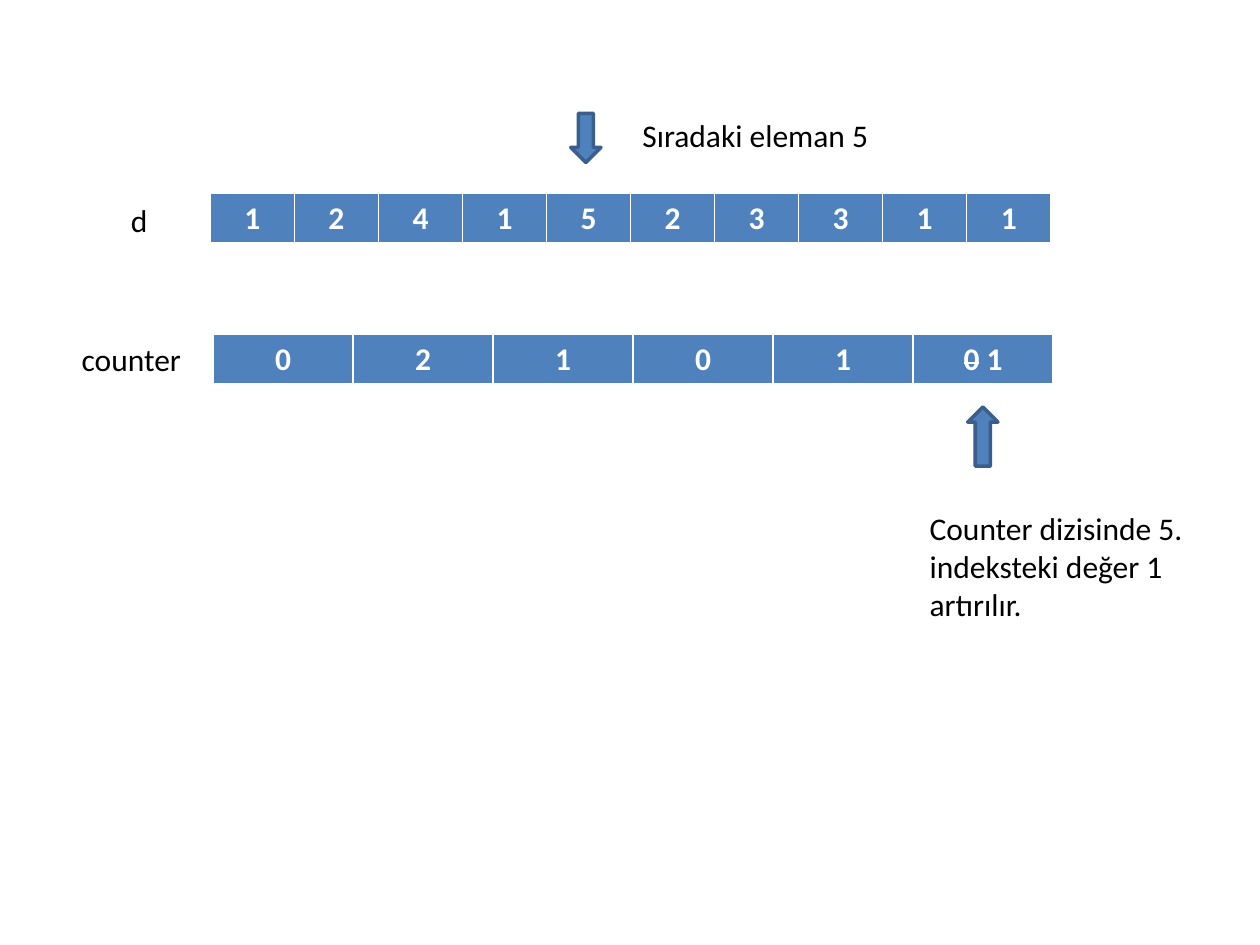
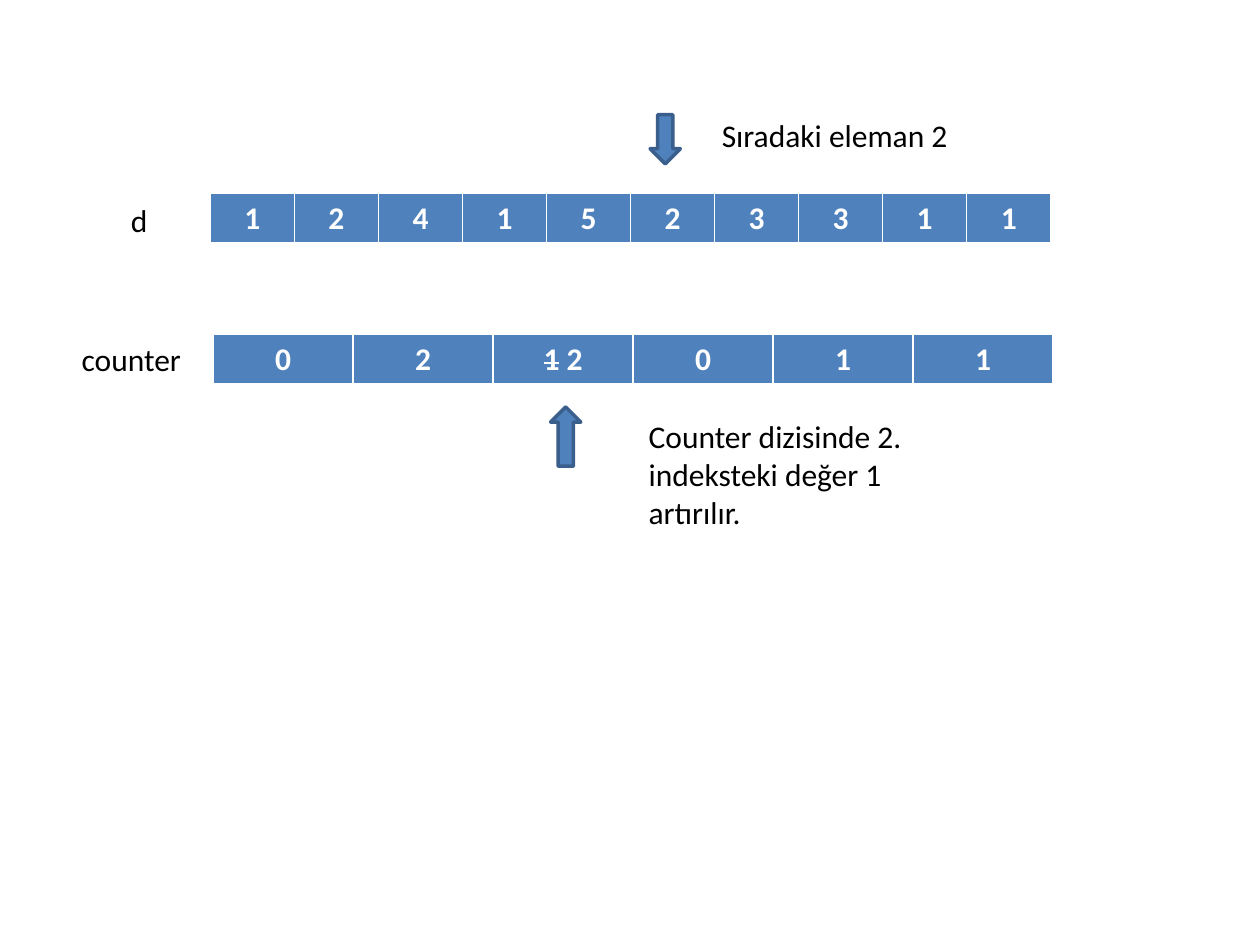
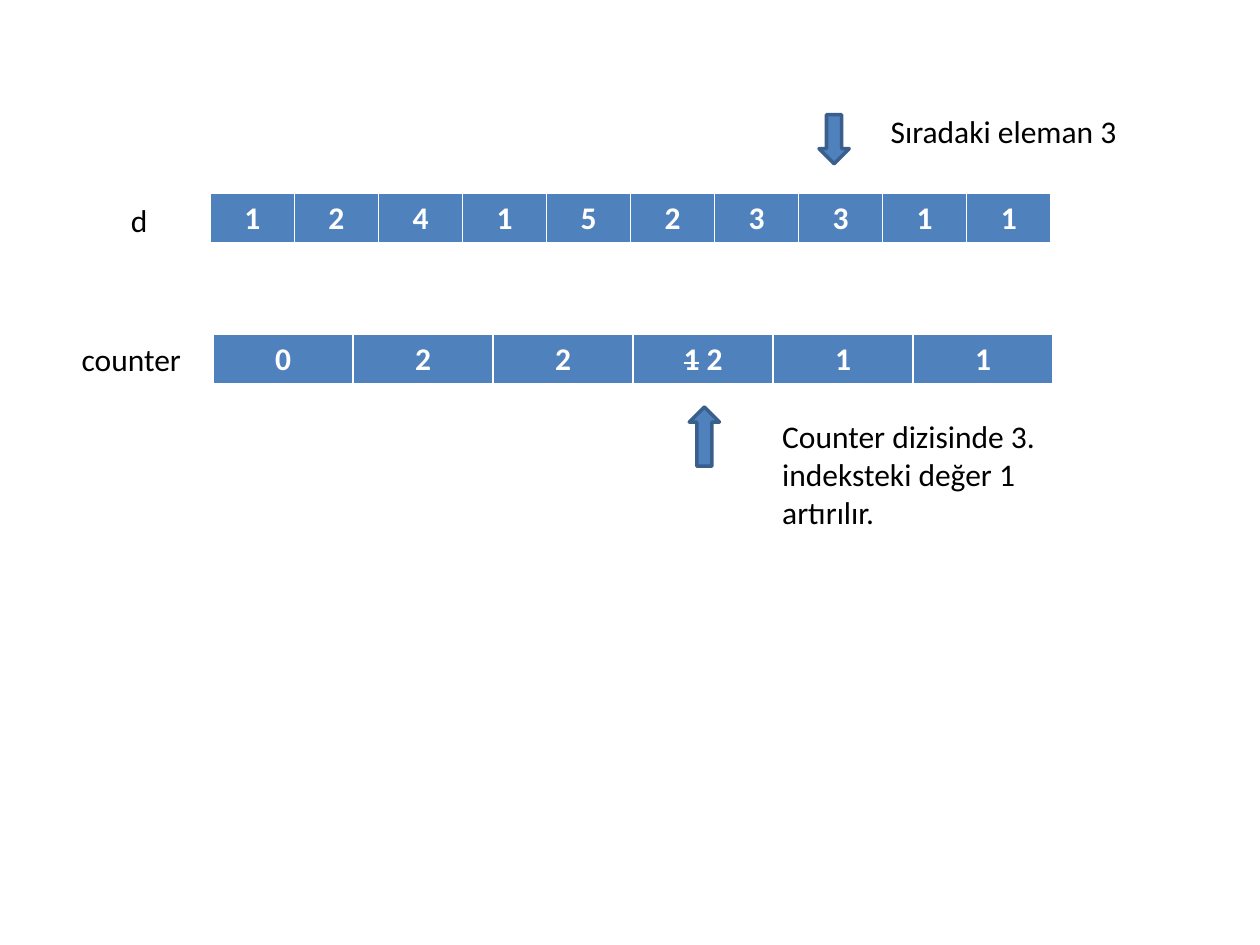
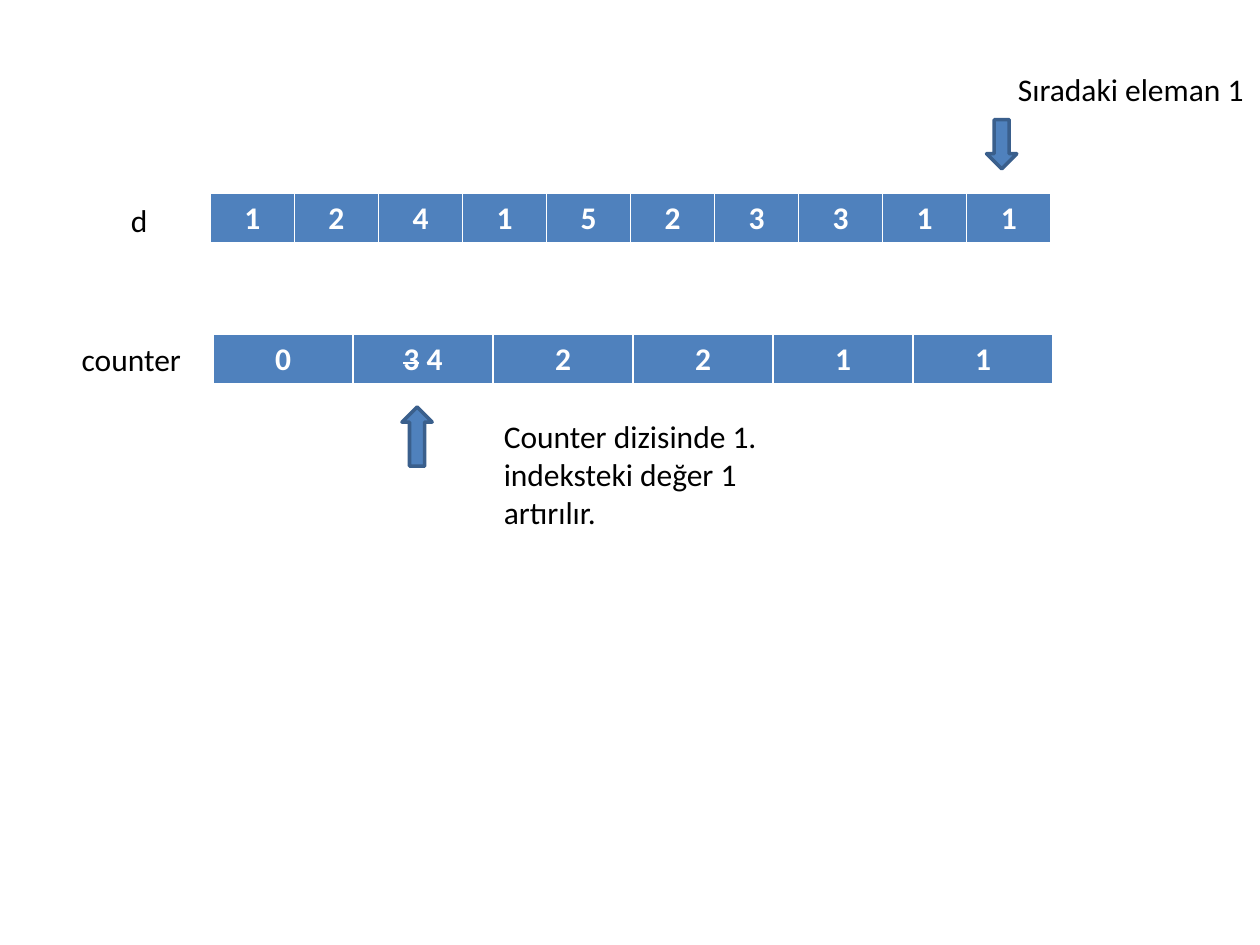
from dataclasses import dataclass

from pptx import Presentation
from pptx.dml.color import RGBColor
from pptx.enum.shapes import MSO_SHAPE
from pptx.enum.text import MSO_ANCHOR, MSO_AUTO_SIZE, PP_ALIGN
from pptx.oxml import parse_xml
from pptx.oxml.ns import nsdecls
from pptx.util import Inches, Pt

# Shared style
BLUE = RGBColor(0x4F, 0x81, 0xBD)
DARK_BLUE = RGBColor(0x3A, 0x5F, 0x8C)
WHITE = RGBColor(0xFF, 0xFF, 0xFF)
BLACK = RGBColor(0x00, 0x00, 0x00)
FONT = "Calibri"
FONT_SIZE = Pt(18)
BORDER_POINTS = {"lnL": 1, "lnR": 1, "lnT": 1, "lnB": 3}

DOWN_ARROW = MSO_SHAPE.DOWN_ARROW
CENTER = PP_ALIGN.CENTER
TOP = MSO_ANCHOR.TOP
GROW = MSO_AUTO_SIZE.SHAPE_TO_FIT_TEXT

# Shared layout, in inches
ARRAY_WIDTH = 6.67
ROW_HEIGHT = 0.41
ARROW_WIDTH = 0.24
ELEMENTS = (1, 2, 4, 1, 5, 2, 3, 3, 1, 1)


@dataclass
class Step:
    """One counting step: the element read and the counts before it."""
    element: int
    counts: tuple
    element_arrow: tuple
    element_note: tuple
    counter_arrow: tuple
    counter_note: tuple


STEPS = (
    Step(5, (0, 2, 1, 0, 1, 0), (4.53, 0.9), (5, 0.87), (7.68, 3.23), (7.28, 3.99)),
    Step(2, (0, 2, 1, 0, 1, 1), (5.16, 0.91), (5.63, 0.87), (4.37, 3.23), (5.05, 3.26)),
    Step(3, (0, 2, 2, 1, 1, 1), (6.5, 0.91), (6.97, 0.84), (5.47, 3.23), (6.11, 3.26)),
    Step(1, (0, 3, 2, 2, 1, 1), (7.83, 0.95), (7.98, 0.51), (3.19, 3.23), (3.9, 3.26)),
)


def add_span(para, text, color, bold=False, struck=False):
    span = para.add_run()
    span.text = text
    span.font.name = FONT
    span.font.size = FONT_SIZE
    span.font.bold = bold
    span.font.color.rgb = color
    if struck:
        span._r.get_or_add_rPr().set("strike", "sngStrike")


def add_text(page, text, left, top, width, height=0.4):
    box = page.shapes.add_textbox(Inches(left), Inches(top), Inches(width), Inches(height))
    frame = box.text_frame
    frame.word_wrap = True
    frame.auto_size = GROW
    frame.vertical_anchor = TOP
    add_span(frame.paragraphs[0], text, BLACK)


def add_arrow(page, position, height, rotation=0):
    left, top = position
    arrow = page.shapes.add_shape(
        DOWN_ARROW, Inches(left), Inches(top), Inches(ARROW_WIDTH), Inches(height))
    arrow.rotation = rotation
    arrow.shadow.inherit = False
    arrow.fill.solid()
    arrow.fill.fore_color.rgb = BLUE
    arrow.line.color.rgb = DARK_BLUE
    arrow.line.width = Pt(2)


def style_cell(cell):
    properties = cell._tc.get_or_add_tcPr()
    for side, points in BORDER_POINTS.items():
        properties.append(parse_xml(
            f'<a:{side} {nsdecls("a")} w="{Pt(points)}"><a:solidFill>'
            f'<a:srgbClr val="{WHITE}"/></a:solidFill></a:{side}>'))
    cell.fill.solid()
    cell.fill.fore_color.rgb = BLUE


def add_array(page, values, left, top, raised_index=None):
    """Draw a one-row array; the raised cell shows its old value struck out."""
    table = page.shapes.add_table(
        1, len(values), Inches(left), Inches(top),
        Inches(ARRAY_WIDTH), Inches(ROW_HEIGHT)).table
    for index, value in enumerate(values):
        table.columns[index].width = Inches(ARRAY_WIDTH / len(values))
        cell = table.cell(0, index)
        style_cell(cell)
        para = cell.text_frame.paragraphs[0]
        para.alignment = CENTER
        raised = index == raised_index
        add_span(para, str(value), WHITE, bold=True, struck=raised)
        if raised:
            add_span(para, f" {value + 1}", WHITE, bold=True)


def add_step(deck, step):
    page = deck.slides.add_slide(deck.slide_layouts[6])

    # Input array and counter array with their labels
    add_array(page, ELEMENTS, 1.67, 1.53)
    add_text(page, "d", 0.94, 1.55, 0.55)
    add_array(page, step.counts, 1.69, 2.65, raised_index=step.element)
    add_text(page, "counter", 0.55, 2.65, 1.1)

    # Element being read
    add_arrow(page, step.element_arrow, 0.39)
    add_text(page, f"Sıradaki eleman {step.element}", *step.element_note, 2.05)

    # Counter being raised
    add_arrow(page, step.counter_arrow, 0.47, rotation=180)
    add_text(page, f"Counter dizisinde {step.element}. indeksteki değer 1 artırılır.",
             *step.counter_note, 2.6, 1.01)


def main():
    deck = Presentation()
    deck.slide_width = Inches(10)
    deck.slide_height = Inches(7.5)
    for step in STEPS:
        add_step(deck, step)
    deck.save("out.pptx")


if __name__ == "__main__":
    main()
